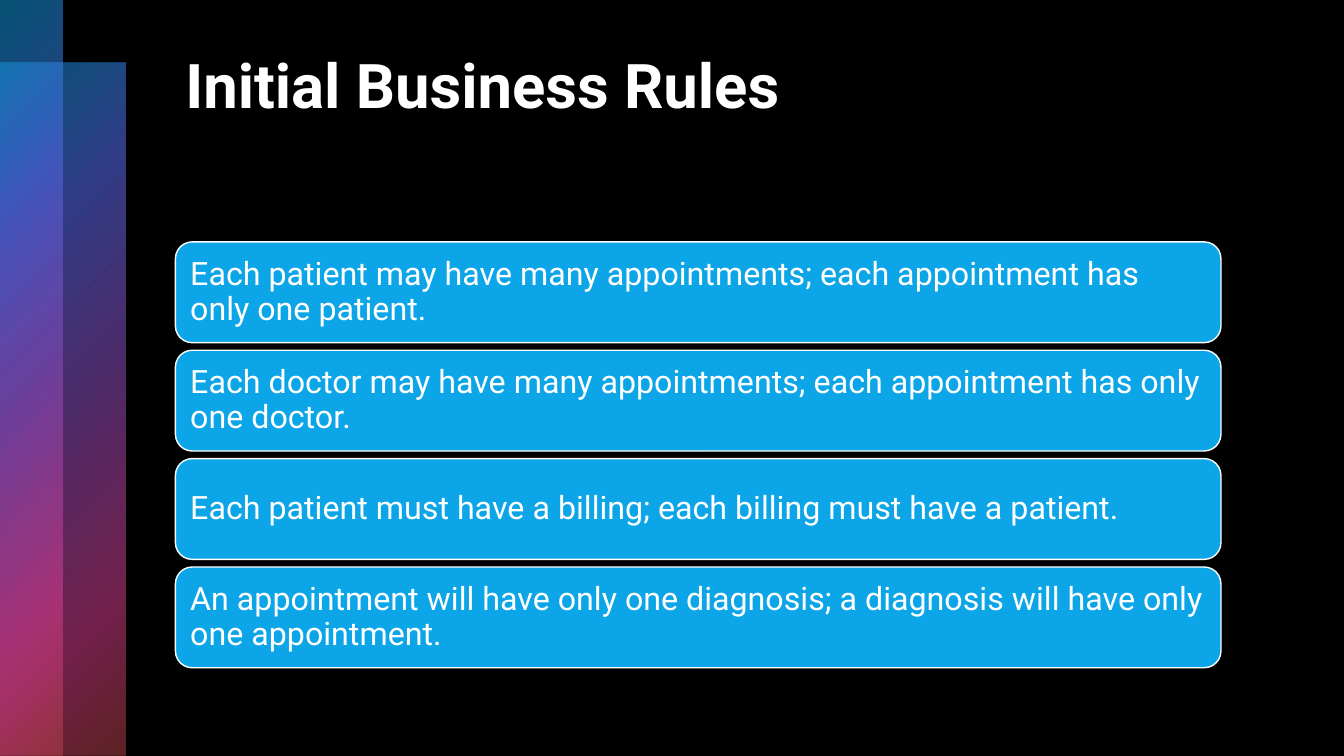
import pptx
import pptx.util
import pptx.dml.color
import pptx.enum.shapes
import pptx.enum.text
import pptx.oxml
import pptx.oxml.ns

# Content
TITLE = "Initial Business Rules"
RULES = [
    "Each patient may have many appointments; each appointment has only one patient.",
    "Each doctor may have many appointments; each appointment has only one doctor.",
    "Each patient must have a billing; each billing must have a patient.",
    "An appointment will have only one diagnosis; a diagnosis will have only one appointment.",
]

# Look: gradient stops are (position %, colour, opacity %)
FONT = "Roboto"
BLACK, WHITE, BLUE = "000000", "FFFFFF", "0BA5E8"
BAND_STOPS = [(0, BLUE, 50), (25, "5066E1", 60), (50, "894EC0", 55),
              (81, "E54196", 50), (99, "BE4449", 50)]

# Layout in inches
WIDTH, HEIGHT = 13.33, 7.5
BAND_STEP = 0.62
LEFT, COLUMN = 1.74, 10.37
RULES_TOP, RULE_HEIGHT, RULE_PITCH = 2.4, 1.0, 1.075

inch = pptx.util.Inches
SHAPES = pptx.enum.shapes.MSO_SHAPE
ANCHORS = pptx.enum.text.MSO_ANCHOR


def color(hex_code):
    return pptx.dml.color.RGBColor.from_string(hex_code)


def add_block(slide, preset, left, top, width, height):
    block = slide.shapes.add_shape(
        preset, inch(left), inch(top), inch(width), inch(height))
    block.shadow.inherit = False
    return block


def add_band(slide, top, width):
    band = add_block(slide, SHAPES.RECTANGLE, 0, top, width, HEIGHT - top)
    band.line.fill.background()
    stops = "".join(
        f'<a:gs pos="{position * 1000}"><a:srgbClr val="{hex_code}">'
        f'<a:alpha val="{opacity * 1000}"/></a:srgbClr></a:gs>'
        for position, hex_code, opacity in BAND_STOPS)
    gradient = pptx.oxml.parse_xml(
        f'<a:gradFill {pptx.oxml.ns.nsdecls("a")} rotWithShape="1">'
        f'<a:gsLst>{stops}</a:gsLst><a:path path="circle">'
        '<a:fillToRect r="100000" b="100000"/></a:path></a:gradFill>')
    band._element.spPr.find(pptx.oxml.ns.qn("a:prstGeom")).addnext(gradient)


def write(shape, text, size, anchor, bold=False):
    frame = shape.text_frame
    frame.word_wrap = True
    frame.vertical_anchor = anchor
    paragraph = frame.paragraphs[0]
    paragraph.text = text
    paragraph.alignment = pptx.enum.text.PP_ALIGN.LEFT
    paragraph.line_spacing = 0.9
    paragraph.font.name = FONT
    paragraph.font.size = pptx.util.Pt(size)
    paragraph.font.bold = bold
    paragraph.font.color.rgb = color(WHITE)
    return frame


def add_rule(slide, row, text):
    rule = add_block(slide, SHAPES.ROUNDED_RECTANGLE, LEFT,
                     RULES_TOP + row * RULE_PITCH, COLUMN, RULE_HEIGHT)
    rule.fill.solid()
    rule.fill.fore_color.rgb = color(BLUE)
    rule.line.color.rgb = color(WHITE)
    rule.line.width = pptx.util.Pt(1)
    frame = write(rule, text, 23, ANCHORS.MIDDLE)
    frame.margin_left = frame.margin_right = inch(0.1)
    frame.margin_top = frame.margin_bottom = inch(0.1)


def main():
    deck = pptx.Presentation()
    deck.slide_width, deck.slide_height = inch(WIDTH), inch(HEIGHT)
    slide = deck.slides.add_slide(deck.slide_layouts[6])
    slide.background.fill.solid()
    slide.background.fill.fore_color.rgb = color(BLACK)

    # Overlapping side bands
    add_band(slide, BAND_STEP, 2 * BAND_STEP)
    add_band(slide, 0, BAND_STEP)

    # Title
    title = slide.shapes.add_textbox(
        inch(LEFT), inch(0.5), inch(COLUMN), inch(1.7))
    write(title, TITLE, 44, ANCHORS.TOP, bold=True)

    # Business rules
    for row, text in enumerate(RULES):
        add_rule(slide, row, text)

    deck.save("out.pptx")


if __name__ == "__main__":
    main()
